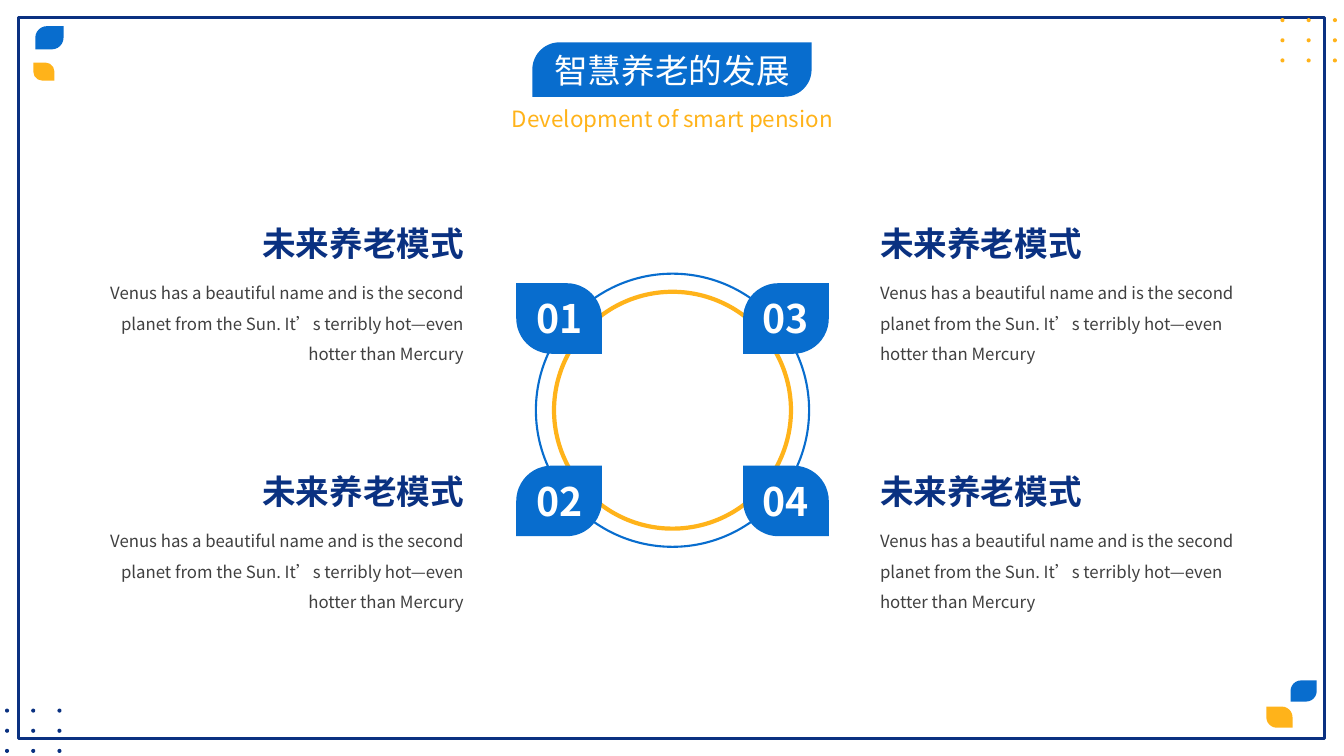
import pptx
import pptx.util
import pptx.dml.color
import pptx.enum.shapes
import pptx.enum.text
from lxml import etree

Inches = pptx.util.Inches
SHAPE = pptx.enum.shapes.MSO_SHAPE
ALIGN = pptx.enum.text.PP_ALIGN

FONT = "Noto Sans CJK SC"
NAVY, BLUE, GOLD, WHITE, GREY = "0A3181", "086DCE", "FFB31A", "FFFFFF", "404040"

TITLE = "智慧养老的发展"
SUBTITLE = "Development of smart pension"
HEADING = "未来养老模式"
DETAIL = ("Venus has a beautiful name and is the second planet from the Sun. "
          "It’s terribly hot—even hotter than Mercury")
# number, heading, detail, column, row
TOPICS = [
    ("01", HEADING, DETAIL, 0, 0),
    ("02", HEADING, DETAIL, 0, 1),
    ("03", HEADING, DETAIL, 1, 0),
    ("04", HEADING, DETAIL, 1, 1),
]
# left, top, width, height, colour, mirrored
LEAVES = [
    (0.35, 0.26, 0.28, 0.23, BLUE, False),
    (0.33, 0.62, 0.21, 0.18, GOLD, True),
    (12.8, 6.75, 0.26, 0.21, BLUE, False),
    (12.56, 7.01, 0.26, 0.21, GOLD, True),
    (5.28, 0.42, 2.77, 0.54, BLUE, False),
]
DOT_GRIDS = [(0.05, 7.03, NAVY), (12.7, 0.18, GOLD)]
DOT_SIZE, DOT_STEP_X, DOT_STEP_Y = 0.04, 0.26, 0.2
RING_CENTRE = (6.67, 4.07)
RINGS = [(2.71, BLUE, 1.5), (2.35, GOLD, 3)]  # diameter, colour, line width

BADGE_WIDTH, BADGE_HEIGHT = 0.85, 0.7
BADGE_LEFTS, BADGE_TOPS = (5.12, 7.37), (2.81, 4.62)
NUMBER_WIDTH, NUMBER_HEIGHT = 1.49, 0.57
HEADING_WIDTH, HEADING_HEIGHT = 2.78, 0.5
DETAIL_WIDTH, DETAIL_HEIGHT = 3.81, 0.98
LEFT_COLUMN_END, RIGHT_COLUMN_START = 4.7, 8.63
HEADING_TOPS = (2.16, 4.62)


def colour(value):
    return pptx.dml.color.RGBColor.from_string(value)


def add_shape(page, kind, left, top, width, height, fill=None, line=None, weight=1):
    shape = page.shapes.add_shape(
        kind, Inches(left), Inches(top), Inches(width), Inches(height))
    shape.shadow.inherit = False
    if fill:
        shape.fill.solid()
        shape.fill.fore_color.rgb = colour(fill)
    else:
        shape.fill.background()
    if line:
        shape.line.color.rgb = colour(line)
        shape.line.width = pptx.util.Pt(weight)
    else:
        shape.line.fill.background()
    return shape


def add_leaf(page, left, top, width, height, fill, mirrored):
    """Add a box with two opposite corners rounded; mirrored rounds the other pair."""
    leaf = add_shape(page, SHAPE.ROUND_2_DIAG_RECTANGLE, left, top, width, height, fill)
    leaf.adjustments[0], leaf.adjustments[1] = (0, 0.5) if mirrored else (0.5, 0)


def write(box, text, size, ink, align, bold=False, spacing=None):
    frame = box.text_frame
    frame.word_wrap = True
    frame.auto_size = pptx.enum.text.MSO_AUTO_SIZE.NONE
    frame.vertical_anchor = pptx.enum.text.MSO_ANCHOR.TOP
    para = frame.paragraphs[0]
    para.alignment = align
    if spacing:
        para.line_spacing = spacing
    span = para.add_run()
    span.text = text
    span.font.size = pptx.util.Pt(size)
    span.font.bold = bold
    span.font.color.rgb = colour(ink)
    span.font.name = FONT
    properties = span.font._element
    etree.SubElement(properties, pptx.oxml.ns.qn("a:ea"), typeface=FONT)


def add_text(page, left, top, width, height, *style, **options):
    box = page.shapes.add_textbox(
        Inches(left), Inches(top), Inches(width), Inches(height))
    write(box, *style, **options)


def add_topic(page, number, heading, detail, column, row):
    left, top = BADGE_LEFTS[column], BADGE_TOPS[row]
    add_leaf(page, left, top, BADGE_WIDTH, BADGE_HEIGHT, BLUE, column == row)
    add_text(page, left + (BADGE_WIDTH - NUMBER_WIDTH) / 2,
             top + (BADGE_HEIGHT - NUMBER_HEIGHT) / 2, NUMBER_WIDTH, NUMBER_HEIGHT,
             number, 28, WHITE, ALIGN.CENTER, bold=True)

    align = ALIGN.LEFT if column else ALIGN.RIGHT
    top = HEADING_TOPS[row]
    heading_left = RIGHT_COLUMN_START if column else LEFT_COLUMN_END - HEADING_WIDTH
    detail_left = RIGHT_COLUMN_START if column else LEFT_COLUMN_END - DETAIL_WIDTH
    add_text(page, heading_left, top, HEADING_WIDTH, HEADING_HEIGHT,
             heading, 24, NAVY, align, bold=True)
    add_text(page, detail_left, top + HEADING_HEIGHT, DETAIL_WIDTH, DETAIL_HEIGHT,
             detail, 12, GREY, align, spacing=1.5)


def main():
    deck = pptx.Presentation()
    deck.slide_width, deck.slide_height = Inches(13.33), Inches(7.5)
    page = deck.slides.add_slide(deck.slide_layouts[5])

    add_shape(page, SHAPE.RECTANGLE, 0.18, 0.17, 12.96, 7.16, line=NAVY, weight=2)
    for left, top, fill in DOT_GRIDS:
        for index in range(9):
            row, column = divmod(index, 3)
            add_shape(page, SHAPE.OVAL, left + column * DOT_STEP_X,
                      top + row * DOT_STEP_Y, DOT_SIZE, DOT_SIZE, fill)
    for leaf in LEAVES:
        add_leaf(page, *leaf)
    for diameter, line, weight in RINGS:
        left, top = (middle - diameter / 2 for middle in RING_CENTRE)
        add_shape(page, SHAPE.OVAL, left, top, diameter, diameter,
                  line=line, weight=weight)
    for topic in TOPICS:
        add_topic(page, *topic)

    title = page.shapes.title
    title.left, title.top = Inches(4.07), Inches(0.44)
    title.width, title.height = Inches(5.19), Inches(0.5)
    write(title, TITLE, 24, WHITE, ALIGN.CENTER)
    # Bring the title in front of its blue banner
    title.element.getparent().append(title.element)
    add_text(page, 3.94, 0.99, 5.46, 0.37, SUBTITLE, 16, GOLD, ALIGN.CENTER)

    deck.save("out.pptx")


if __name__ == "__main__":
    main()
